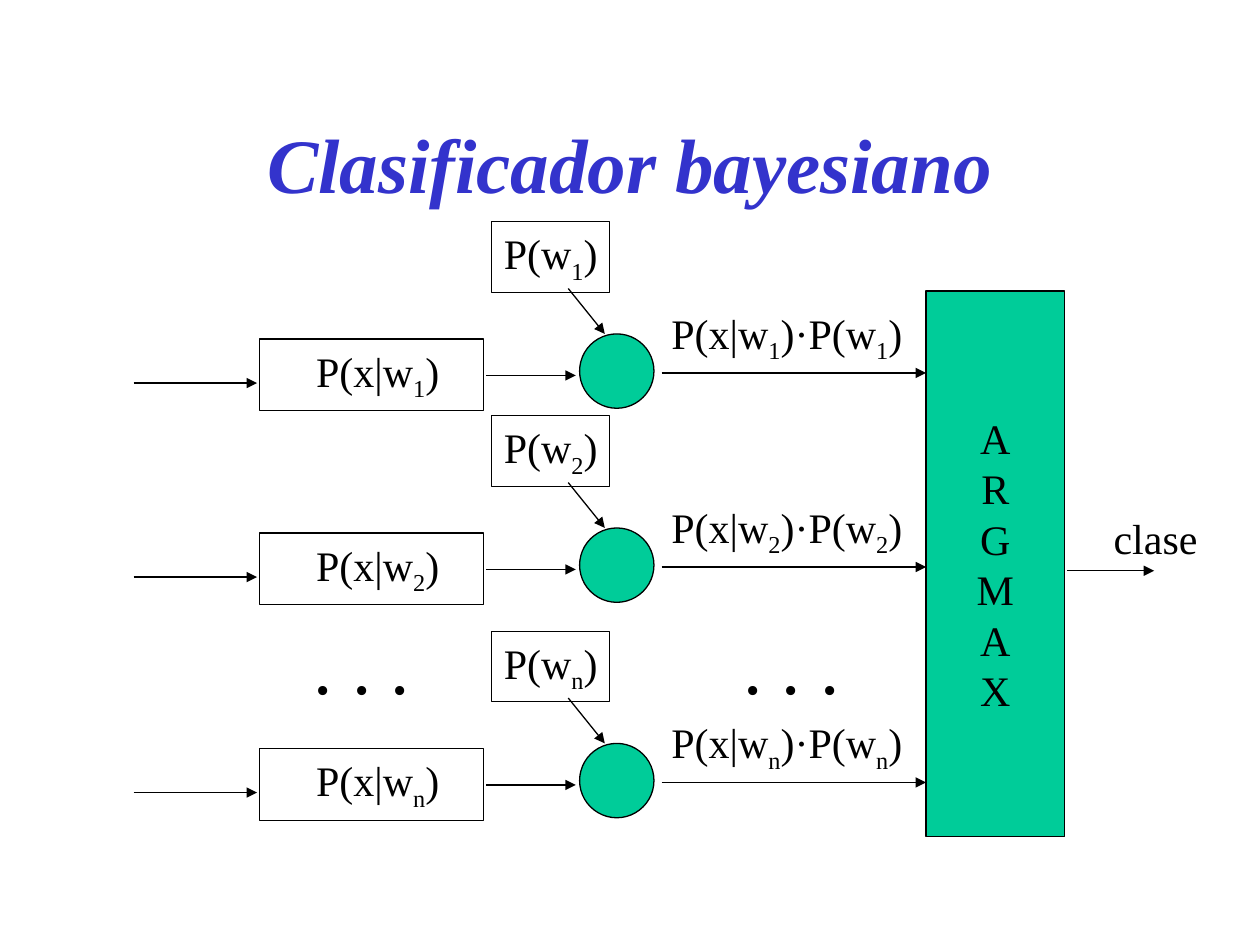
from lxml.etree import SubElement
from pptx import Presentation
from pptx.dml.color import RGBColor
from pptx.enum.shapes import MSO_CONNECTOR as Conn, MSO_SHAPE as Geo
from pptx.enum.text import MSO_ANCHOR as Anchor, MSO_AUTO_SIZE as Fit, PP_ALIGN as Align
from pptx.oxml.ns import qn
from pptx.util import Inches, Pt

COLORS = {"title": "3333CC", "node": "00CC99", "ink": "000000"}
FONT = "Times New Roman"
ROW_TOPS = {"1": 1.76, "2": 3.3, "n": 5.01}


def rgb(name):
    return RGBColor.from_string(COLORS[name])


def style_font(font, size=24, color="ink"):
    font.name = FONT
    font.size = Pt(size)
    font.color.rgb = rgb(color)


def add_block(slide, geometry, left, top, width, height, fill=None):
    block = slide.shapes.add_shape(
        geometry, Inches(left), Inches(top), Inches(width), Inches(height))
    block.shadow.inherit = False
    if fill:
        block.fill.solid()
        block.fill.fore_color.rgb = rgb(fill)
    else:
        block.fill.background()
    block.line.color.rgb = rgb("ink")
    block.line.width = Pt(0.75)
    return block


def add_arrow(slide, x1, y1, x2, y2):
    arrow = slide.shapes.add_connector(
        Conn.STRAIGHT, Inches(x1), Inches(y1), Inches(x2), Inches(y2))
    arrow.line.color.rgb = rgb("ink")
    arrow.line.width = Pt(0.75)
    SubElement(arrow.line._get_or_add_ln(), qn("a:tailEnd"), type="triangle")
    SubElement(arrow._element.spPr, qn("a:effectLst"))


def write_formula(frame, pieces, size=24):
    frame.word_wrap = False
    frame.auto_size = Fit.NONE
    frame.vertical_anchor = Anchor.TOP
    frame.margin_right = Inches(0.04)
    formula = frame.paragraphs[0]
    formula.alignment = Align.LEFT
    style_font(formula.font, size)
    for position, piece in enumerate(pieces):
        run = formula.add_run()
        run.text = piece
        if position % 2:
            run.font._element.set("baseline", "-25000")


def add_label(slide, left, top, width, height, pieces, size=24):
    label = slide.shapes.add_textbox(
        Inches(left), Inches(top), Inches(width), Inches(height))
    write_formula(label.text_frame, pieces, size)


def add_title(slide, left, top, width, height):
    title = slide.shapes.title
    title.left, title.top = Inches(left), Inches(top)
    title.width, title.height = Inches(width), Inches(height)
    title.text_frame.text = "Clasificador bayesiano"
    title.text_frame.vertical_anchor = Anchor.MIDDLE
    heading = title.text_frame.paragraphs[0]
    heading.alignment = Align.CENTER
    style_font(heading.font, 44, "title")
    heading.font.bold = heading.font.italic = True


def add_class_row(slide, left, top, index):
    add_block(slide, Geo.RECTANGLE, left + 1, top + 0.93, 1.78, 0.57)
    add_label(slide, left + 1.35, top + 0.93, 1.18, 0.56, ["P(x|w", index, ")"])
    add_arrow(slide, left, top + 1.28, left + 0.98, top + 1.28)
    add_block(slide, Geo.OVAL, left + 3.54, top + 0.89, 0.59, 0.59, "node")
    prior = add_block(slide, Geo.RECTANGLE, left + 2.84, top, 0.94, 0.56)
    write_formula(prior.text_frame, ["P(w", index, ")"])
    add_arrow(slide, left + 3.45, top + 0.53, left + 3.74, top + 0.89)
    add_arrow(slide, left + 2.8, top + 1.22, left + 3.51, top + 1.22)
    add_arrow(slide, left + 4.19, top + 1.2, left + 6.29, top + 1.2)
    add_label(slide, left + 4.17, top + 0.63, 2.03, 0.56,
              ["P(x|w", index, ")·P(w", index, ")"])


def add_argmax(slide, left, top, width, height):
    argmax = add_block(slide, Geo.RECTANGLE, left, top, width, height, "node")
    frame = argmax.text_frame
    frame.word_wrap = False
    frame.vertical_anchor = Anchor.MIDDLE
    frame.text = "\n".join("ARGMAX")
    for letter in frame.paragraphs:
        letter.alignment = Align.CENTER
        style_font(letter.font)
    right, middle = left + width, top + 2.22
    add_arrow(slide, right + 0.02, middle, right + 0.71, middle)
    add_label(slide, right + 0.29, middle - 0.51, 0.86, 0.5, ["clase"])


def main():
    deck = Presentation()
    deck.slide_width, deck.slide_height = Inches(10), Inches(7.5)
    slide = deck.slides.add_slide(deck.slide_layouts[5])
    add_title(slide, 0.75, 0.67, 8.5, 1.25)
    for index, top in ROW_TOPS.items():
        add_class_row(slide, 1.06, top, index)
    add_argmax(slide, 7.35, 2.31, 1.1, 4.33)
    for left in (2.39, 5.8):
        add_label(slide, left, 4.85, 0.96, 0.84, [". . ."], 44)
    deck.save("out.pptx")


if __name__ == "__main__":
    main()
